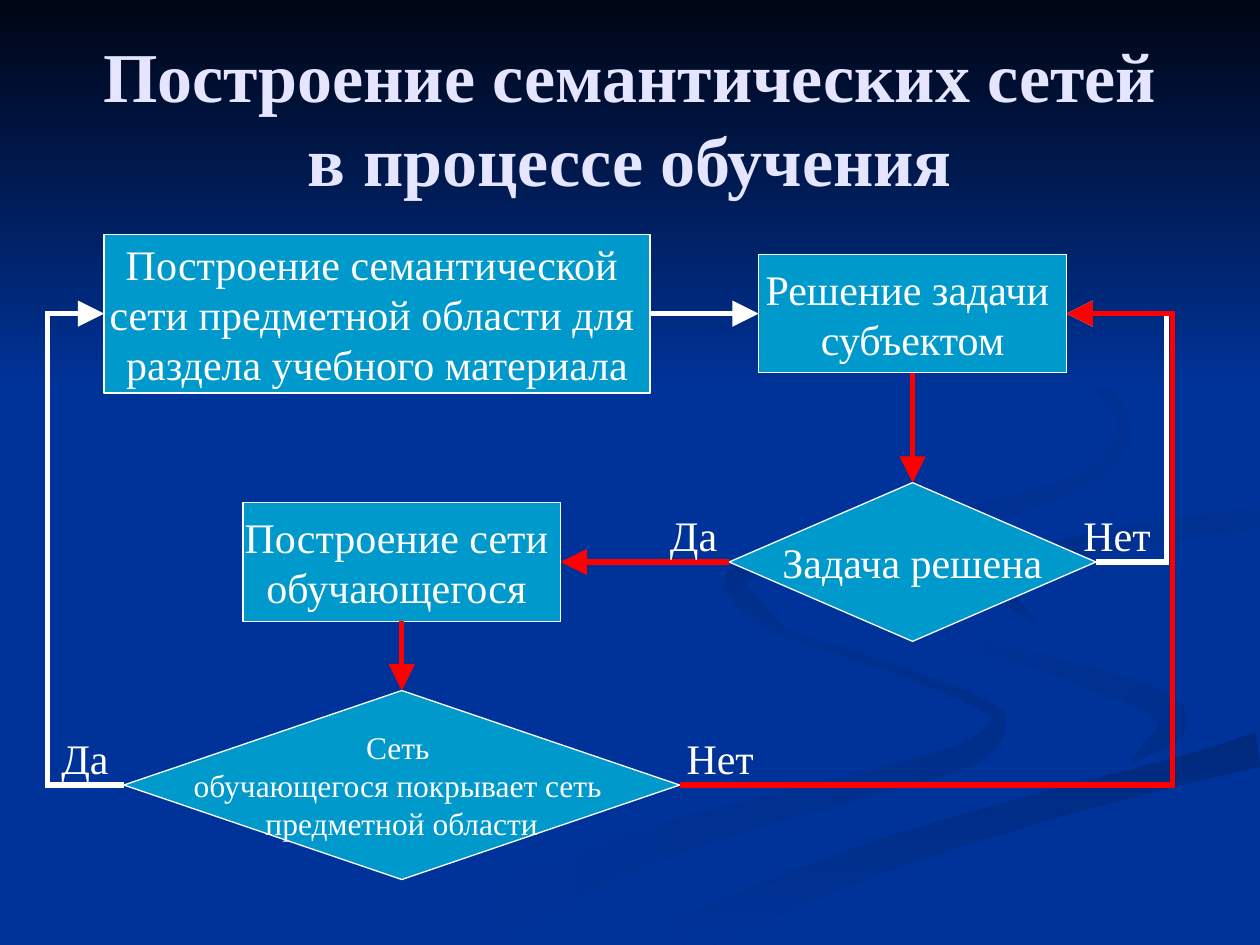
import math

import lxml.etree
import pptx
import pptx.dml.color
import pptx.enum.shapes
import pptx.enum.text
import pptx.oxml.ns
import pptx.util

Pt = pptx.util.Pt
qn = pptx.oxml.ns.qn
CONNECTOR = pptx.enum.shapes.MSO_CONNECTOR
PROCESS = pptx.enum.shapes.MSO_SHAPE.FLOWCHART_PROCESS
DECISION = pptx.enum.shapes.MSO_SHAPE.FLOWCHART_DECISION
ALIGN = pptx.enum.text.PP_ALIGN
ANCHOR = pptx.enum.text.MSO_ANCHOR
AUTO_SIZE = pptx.enum.text.MSO_AUTO_SIZE

WIDTH, HEIGHT = 720, 540
FONT = "Times New Roman"
COLORS = {
    "background": "003399", "night": "000514", "title": "E5E5FF",
    "node": "0099CC", "white": "FFFFFF", "red": "FF0000",
    "shade_lower": "002E8B", "shade_tail": "002A7D",
    "shade_right": "002D86", "shade_upper": "002B82",
}
TOP, LEFT, BOTTOM, RIGHT = range(4)
RIGHTWARD, DIAGONAL, DOWNWARD = 0, 315, 270


def rgb(name):
    return pptx.dml.color.RGBColor.from_string(COLORS[name])


def write_lines(text_frame, lines, size, color, align, bold=False):
    for index, line in enumerate(lines):
        paragraph = text_frame.paragraphs[0] if index == 0 else text_frame.add_paragraph()
        paragraph.alignment = align
        paragraph.space_before = Pt(0)
        run = paragraph.add_run()
        run.text = line
        run.font.name = FONT
        run.font.size = Pt(size)
        run.font.bold = bold
        run.font.color.rgb = rgb(color)


def smooth(stations, steps=8):
    padded = [stations[0], *stations, stations[-1]]
    curve = []
    for before, start, end, after in zip(padded, padded[1:], padded[2:], padded[3:]):
        for step in range(steps):
            t = step / steps
            curve.append([
                b + (c - a) * t / 2 + (2 * a - 5 * b + 4 * c - d) * t ** 2 / 2
                + (3 * b - a - 3 * c + d) * t ** 3 / 2
                for a, b, c, d in zip(before, start, end, after)
            ])
    return curve + [list(stations[-1])]


def ribbon_outline(stations):
    curve = smooth(stations)
    near_side, far_side = [], []
    for index, (x, y, half_width) in enumerate(curve):
        back = curve[max(index - 1, 0)]
        ahead = curve[min(index + 1, len(curve) - 1)]
        angle = math.atan2(ahead[1] - back[1], ahead[0] - back[0])
        across = -math.sin(angle) * half_width, math.cos(angle) * half_width
        for side, sign in ((near_side, 1), (far_side, -1)):
            side.append((min(x + sign * across[0], WIDTH), min(y + sign * across[1], HEIGHT)))
    return near_side + far_side[::-1]


def add_gradient_outline(slide, points, start, end, angle):
    corners = [(Pt(x), Pt(y)) for x, y in points]
    builder = slide.shapes.build_freeform(*corners[0], scale=1.0)
    builder.add_line_segments(corners[1:], close=True)
    shape = builder.convert_to_shape()
    shape.shadow.inherit = False
    shape.line.fill.background()
    shape.fill.gradient()
    shape.fill.gradient_angle = angle
    for stop, color in zip(shape.fill.gradient_stops, (start, end)):
        stop.color.rgb = rgb(color)


def add_backdrop(slide, band_height):
    slide.background.fill.solid()
    slide.background.fill.fore_color.rgb = rgb("background")
    lower = [(412, 334, 2), (440, 358, 2), (510, 382, 2), (560, 402, 3), (570, 414, 5),
             (550, 432, 7), (487, 450, 7), (380, 480, 10), (300, 513, 14), (238, 539, 20)]
    middle = [(522, 336, 1), (545, 363, 4), (600, 380, 5), (655, 399, 7), (670, 414, 8),
              (647, 435, 1)]
    tail = [(386, 539, 12), (440, 514, 10), (510, 487, 9), (600, 460, 8), (680, 439, 8),
            (720, 428, 10)]
    right = [(720, 296, 6), (650, 306, 6), (585, 321, 6), (571, 334, 5), (592, 356, 1)]
    upper = [(550, 169, 1), (600, 196, 2), (635, 228, 3), (641, 250, 3), (620, 274, 4),
             (560, 293, 5), (490, 306, 6), (430, 324, 6), (422, 336, 5), (447, 359, 1)]
    for stations, start, end, angle in (
        (lower, "background", "shade_lower", RIGHTWARD),
        (middle, "background", "shade_lower", DIAGONAL),
        (tail, "shade_tail", "background", DOWNWARD),
        (right, "shade_right", "background", DIAGONAL),
        (upper, "shade_upper", "background", DIAGONAL),
    ):
        add_gradient_outline(slide, ribbon_outline(stations), start, end, angle)
    band = [(0, 0), (0, band_height), (WIDTH, band_height), (WIDTH, 0)]
    add_gradient_outline(slide, band, "night", "background", DOWNWARD)


def add_title(slide, box, text):
    title = slide.shapes.title
    title.left, title.top, title.width, title.height = (Pt(value) for value in box)
    title.text_frame.vertical_anchor = ANCHOR.MIDDLE
    title.text_frame.auto_size = AUTO_SIZE.NONE
    write_lines(title.text_frame, [text], 40, "title", ALIGN.CENTER, bold=True)
    title.element.getparent().append(title.element)


def add_node(slide, kind, center, size, lines, font_size=24):
    corner = [middle - extent / 2 for middle, extent in zip(center, size)]
    shape = slide.shapes.add_shape(kind, *(Pt(value) for value in (*corner, *size)))
    shape.shadow.inherit = False
    shape.fill.solid()
    shape.fill.fore_color.rgb = rgb("node")
    shape.line.color.rgb = rgb("white")
    shape.line.width = Pt(0.75)
    shape.text_frame.word_wrap = False
    shape.text_frame.vertical_anchor = ANCHOR.MIDDLE
    write_lines(shape.text_frame, lines, font_size, "white", ALIGN.CENTER)
    return shape


def add_arrow(slide, source, source_side, target, target_side, color, via=None):
    kind = CONNECTOR.STRAIGHT if via is None else CONNECTOR.ELBOW
    connector = slide.shapes.add_connector(kind, 0, 0, 0, 0)
    connector.begin_connect(source, source_side)
    connector.end_connect(target, target_side)
    connector.line.color.rgb = rgb(color)
    connector.line.width = Pt(3)
    properties = connector.element.spPr
    line = properties.find(qn("a:ln"))
    lxml.etree.SubElement(line, qn("a:miter"), lim="800000")
    lxml.etree.SubElement(line, qn("a:tailEnd"), type="triangle", w="lg", len="lg")
    lxml.etree.SubElement(properties, qn("a:effectLst"))
    if via is not None:
        share = (Pt(via) - connector.begin_x) / (connector.end_x - connector.begin_x)
        guides = properties.find(qn("a:prstGeom")).find(qn("a:avLst"))
        lxml.etree.SubElement(guides, qn("a:gd"), name="adj1", fmla=f"val {round(share * 100000)}")


def add_label(slide, left, top, text):
    width = {"Да": 44, "Нет": 59}[text]
    label = slide.shapes.add_textbox(Pt(left), Pt(top), Pt(width), Pt(36))
    label.text_frame.word_wrap = False
    label.text_frame.auto_size = AUTO_SIZE.SHAPE_TO_FIT_TEXT
    write_lines(label.text_frame, [text], 24, "white", ALIGN.LEFT)


def add_flowchart(slide):
    left_column, right_column = 229.6, 521.5
    first_row, second_row, third_row = 179.25, 321.15, 448.6
    build = add_node(slide, PROCESS, (215.5, first_row), (312, 90.7),
                     ["Построение семантической ", "сети предметной области для ",
                      "раздела учебного материала"])
    solved = add_node(slide, DECISION, (right_column, second_row), (209.6, 90.7),
                      ["Задача решена"])
    solve = add_node(slide, PROCESS, (right_column, first_row), (176, 67.7),
                     ["Решение задачи ", "субъектом"])
    learner = add_node(slide, PROCESS, (left_column, second_row), (181.6, 67.7),
                       ["Построение сети ", "обучающегося "])
    covers = add_node(slide, DECISION, (left_column, third_row), (317.6, 108),
                      ["Сеть ", "обучающегося покрывает сеть ", "предметной области"], 18)

    for route in (
        (build, RIGHT, solve, LEFT, "white"),
        (solve, BOTTOM, solved, TOP, "red"),
        (solved, LEFT, learner, RIGHT, "red"),
        (solved, RIGHT, solve, RIGHT, "white", 666.7),
        (learner, BOTTOM, covers, TOP, "red"),
        (covers, LEFT, build, LEFT, "white", 27.2),
        (covers, RIGHT, solve, RIGHT, "red", 669.8),
    ):
        add_arrow(slide, *route)

    label_rise = 33.5
    for row, left, text in ((third_row, 28, "Да"), (third_row, 385.2, "Нет"),
                            (second_row, 375.8, "Да"), (second_row, 612, "Нет")):
        add_label(slide, left, row - label_rise, text)


def main():
    presentation = pptx.Presentation()
    presentation.slide_width, presentation.slide_height = Pt(WIDTH), Pt(HEIGHT)
    slide = presentation.slides.add_slide(presentation.slide_layouts[5])
    add_backdrop(slide, 222)
    add_title(slide, (36, 21.6, 648, 90), "Построение семантических сетей в процессе обучения")
    add_flowchart(slide)
    presentation.save("out.pptx")


if __name__ == "__main__":
    main()
